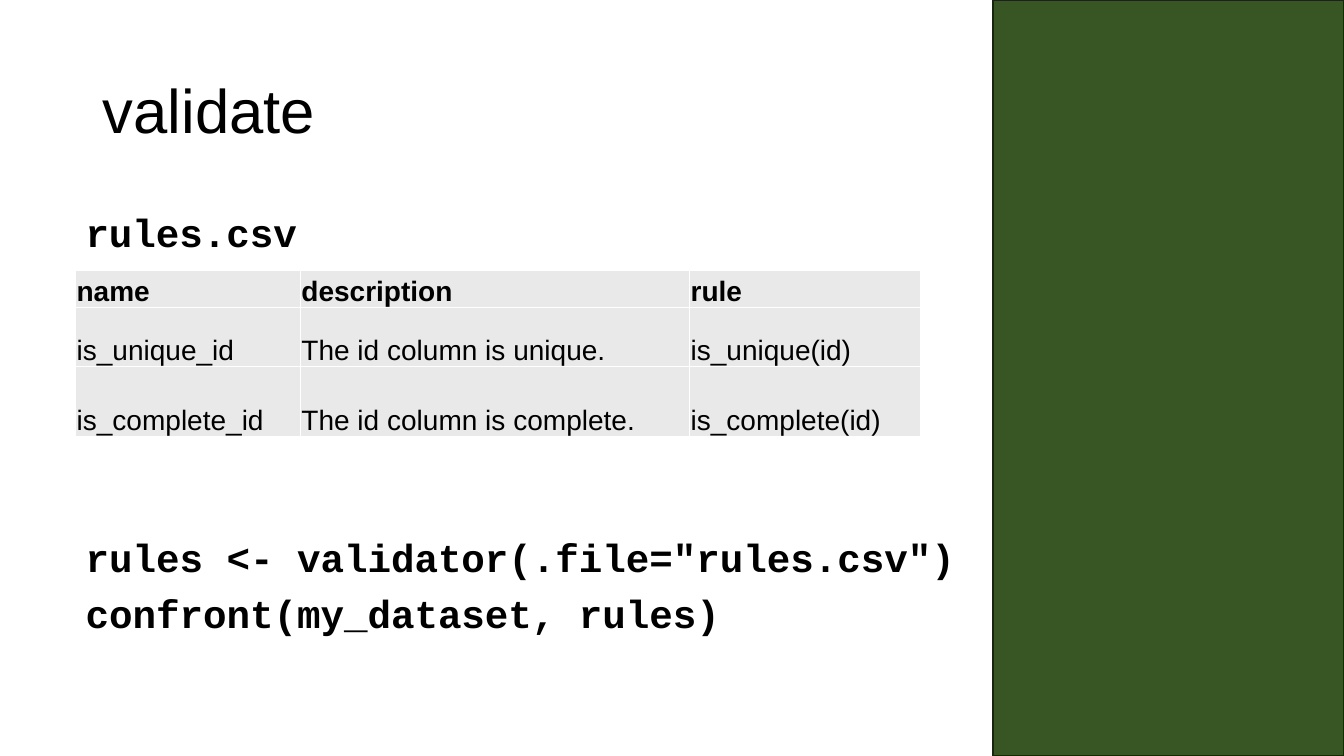
from lxml.etree import SubElement
from pptx import Presentation
from pptx.dml.color import RGBColor
from pptx.enum.shapes import MSO_SHAPE
from pptx.enum.text import MSO_ANCHOR, MSO_AUTO_SIZE, PP_ALIGN
from pptx.oxml.ns import qn
from pptx.util import Emu, Pt

BLACK, WHITE, GREEN, DARK_GREEN, GREY = "000000", "FFFFFF", "375623", "18260F", "E8E9E8"
SANS, MONO = "Arial", "Courier New"
RULES = [
    ("name", "description", "rule"),
    ("is_unique_id", "The id column is unique.", "is_unique(id)"),
    ("is_complete_id", "The id column is complete.", "is_complete(id)"),
]


def px(n):
    """Turn px, 100 to the inch, into EMU."""
    return Emu(n * 9144)


def color(value):
    return RGBColor.from_string(value)


class Deck:
    """Holds the presentation, its style and the current slide."""

    def __init__(self, width, height):
        self.prs = Presentation()
        self.prs.slide_width, self.prs.slide_height = px(width), px(height)
        self.s = self.prs.slides.add_slide(self.prs.slide_layouts[1])

    def run(self, p, text, size, font, bold=False):
        r = p.add_run()
        r.text = text
        r.font.size, r.font.name, r.font.bold = Pt(size), font, bold
        r.font.color.rgb = color(BLACK)

    def place(self, sp, x, y, w, h):
        sp.left, sp.top, sp.width, sp.height = px(x), px(y), px(w), px(h)

    def panel(self, x, y, w, h):
        """Add the side panel behind everything else."""
        sp = self.s.shapes.add_shape(MSO_SHAPE.RECTANGLE, px(x), px(y), px(w), px(h))
        sp.shadow.inherit = False
        sp.fill.solid()
        sp.fill.fore_color.rgb = color(GREEN)
        sp.line.color.rgb = color(DARK_GREEN)
        sp.line.width = Pt(1)
        self.s.shapes._spTree.insert(2, sp._element)

    def title(self, text, *box):
        sp = self.s.shapes.title
        self.place(sp, *box)
        tf = sp.text_frame
        tf.auto_size, tf.vertical_anchor = MSO_AUTO_SIZE.NONE, MSO_ANCHOR.MIDDLE
        p = tf.paragraphs[0]
        p.alignment, p.line_spacing = PP_ALIGN.LEFT, 0.9
        self.run(p, text, 44, SANS)

    def code(self, sp, lines):
        """Write code lines into a shape, without bullets."""
        tf = sp.text_frame
        tf.word_wrap, tf.auto_size = True, MSO_AUTO_SIZE.NONE
        for i, line in enumerate(lines):
            p = tf.add_paragraph() if i else tf.paragraphs[0]
            p.line_spacing, p.space_before = 0.9, Pt(10)
            pPr = p._p.get_or_add_pPr()
            pPr.set("marL", "0")
            pPr.set("indent", "0")
            SubElement(pPr, qn("a:buNone"))
            self.run(p, line, 28, MONO, True)

    def body(self, lines, *box):
        sp = self.s.placeholders[1]
        self.place(sp, *box)
        self.code(sp, lines)

    def label(self, text, x, y, w, h):
        self.code(self.s.shapes.add_textbox(px(x), px(y), px(w), px(h)), [text])

    def cell(self, cell, text, bold):
        cell.margin_left = cell.margin_top = cell.margin_right = px(1)
        cell.margin_bottom = 0
        cell.vertical_anchor = MSO_ANCHOR.BOTTOM
        self.run(cell.text_frame.paragraphs[0], text, 20, SANS, bold)
        tcPr = cell._tc.get_or_add_tcPr()
        for side in ("lnL", "lnR", "lnT", "lnB"):
            ln = SubElement(tcPr, qn(f"a:{side}"), w=str(Pt(1)))
            SubElement(SubElement(ln, qn("a:solidFill")), qn("a:srgbClr"), val=WHITE)
        cell.fill.solid()
        cell.fill.fore_color.rgb = color(GREY)

    def table(self, rows, x, y, widths, heights):
        frame = self.s.shapes.add_table(len(rows), len(widths), px(x), px(y),
                                        px(sum(widths)), px(sum(heights)))
        table = frame.table
        table.horz_banding = False
        for column, w in zip(table.columns, widths):
            column.width = px(w)
        for i, (row, h) in enumerate(zip(rows, heights)):
            table.rows[i].height = px(h)
            for j, text in enumerate(row):
                self.cell(table.cell(i, j), text, bold=i == 0)


def main():
    deck = Deck(1333, 750)
    deck.panel(985, 0, 348, 750)
    deck.title("validate", 92, 40, 859, 145)
    deck.body(['rules <- validator(.file="rules.csv")', "confront(my_dataset, rules)"],
              75, 529, 928, 123)
    deck.table(RULES, 75, 268, [223, 386, 229], [37, 59, 69])
    deck.label("rules.csv", 75, 207, 928, 123)
    deck.prs.save("out.pptx")


if __name__ == "__main__":
    main()
